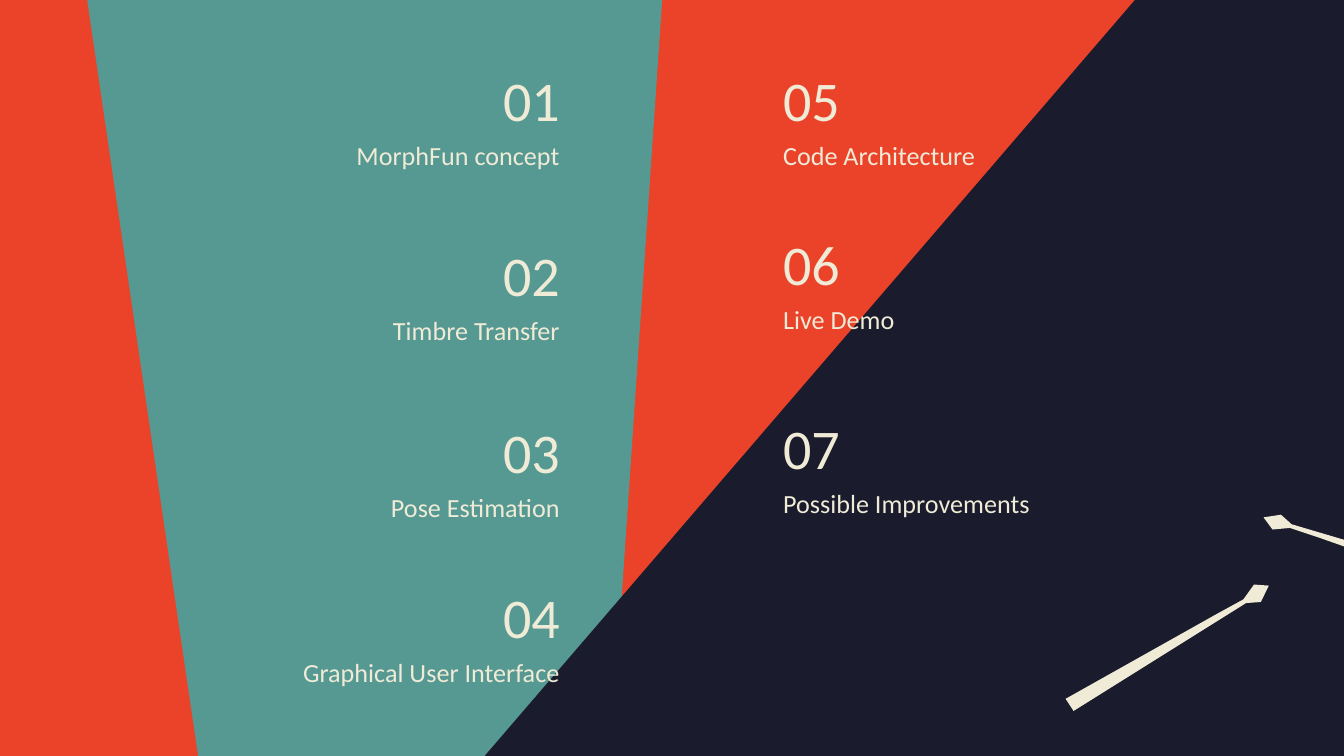
from pptx import Presentation
from pptx.dml.color import RGBColor
from pptx.enum.text import MSO_ANCHOR as Anchor, PP_ALIGN as Align
from pptx.util import Cm, Pt

RED, TEAL, NAVY, CREAM = "EB432A", "569992", "1A1B2C", "EFEBD7"

PANELS = [
    (TEAL, [(1.6, -0.33), (3.78, 14.53), (11.53, 14.53), (12.55, -0.51)]),
    (NAVY, [(27.41, 14.4), (9.04, 14.43), (21.82, -0.43), (27.43, -0.38)]),
]
STICKS = [
    (CREAM, [(28.02, 11.25), (28.09, 11), (24.41, 9.91), (24.21, 9.73),
             (23.88, 9.78), (24.05, 10.01), (24.38, 9.98), (24.92, 10.16)]),
    (CREAM, [(20.29, 13.44), (23.55, 11.4), (23.83, 11.38), (23.98, 11.07),
             (23.7, 11.05), (23.5, 11.33), (22.99, 11.61), (20.14, 13.21)]),
]
COLUMNS = [
    (Align.RIGHT, 10.83, [
        (0.99, "MorphFun concept"),
        (4.29, "Timbre Transfer"),
        (7.65, "Pose Estimation"),
        (10.77, "Graphical User Interface"),
    ]),
    (Align.LEFT, 14.55, [
        (0.99, "Code Architecture"),
        (4.09, "Live Demo"),
        (7.57, "Possible Improvements"),
    ]),
]
NUMBER_WIDTH, NUMBER_HEIGHT = 4.83, 1.6
TOPIC_WIDTH, TOPIC_HEIGHT, TOPIC_DROP = 6.25, 0.99, 1.5


def paint(fill, color):
    fill.solid()
    fill.fore_color.rgb = RGBColor.from_string(color)


def add_outline(page, color, points):
    start, *others = [(Cm(x), Cm(y)) for x, y in points]
    builder = page.shapes.build_freeform(*start)
    builder.add_line_segments(others, close=True)
    shape = builder.convert_to_shape()
    shape.shadow.inherit = False
    paint(shape.fill, color)
    shape.line.fill.background()


def add_text(page, text, edge, top, width, height, size, align, anchor):
    left = edge - width if align == Align.RIGHT else edge
    box = page.shapes.add_textbox(Cm(left), Cm(top), Cm(width), Cm(height))
    frame = box.text_frame
    frame.word_wrap = True
    frame.vertical_anchor = anchor
    frame.margin_left = frame.margin_right = Cm(0.25)
    frame.margin_top = frame.margin_bottom = Cm(0.25)
    para = frame.paragraphs[0]
    para.alignment = align
    span = para.add_run()
    span.text = text
    span.font.name = "Calibri"
    span.font.size = Pt(size)
    span.font.color.rgb = RGBColor.from_string(CREAM)


def main():
    deck = Presentation()
    deck.slide_width, deck.slide_height = Cm(25.4), Cm(14.29)
    page = deck.slides.add_slide(deck.slide_layouts[6])
    paint(page.background.fill, RED)

    for color, points in PANELS + STICKS:
        add_outline(page, color, points)

    number = 0
    for align, edge, topics in COLUMNS:
        for top, topic in topics:
            number += 1
            add_text(page, f"{number:02}", edge, top, NUMBER_WIDTH, NUMBER_HEIGHT,
                     size=30, align=align, anchor=Anchor.TOP)
            add_text(page, topic, edge, top + TOPIC_DROP, TOPIC_WIDTH, TOPIC_HEIGHT,
                     size=14, align=align, anchor=Anchor.BOTTOM)

    deck.save("out.pptx")


if __name__ == "__main__":
    main()
